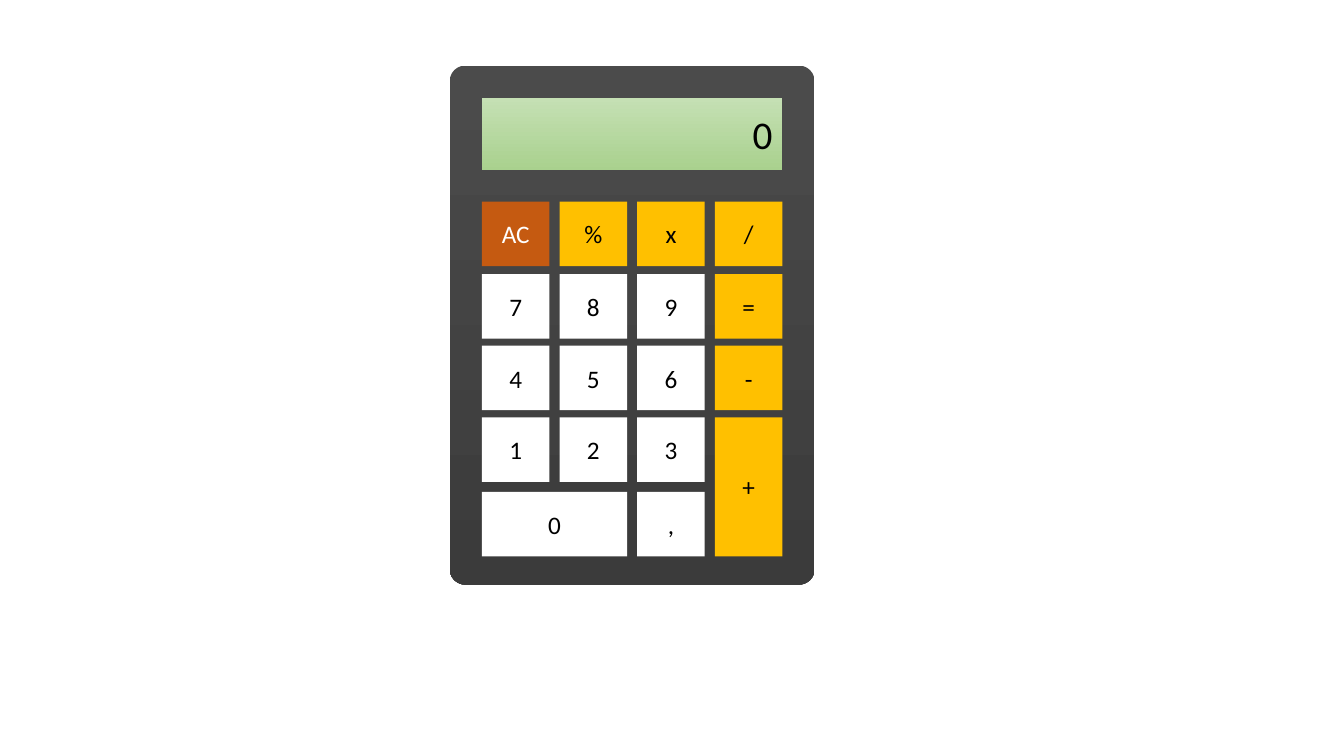
from pptx import Presentation
from pptx.dml.color import RGBColor
from pptx.enum.shapes import MSO_SHAPE
from pptx.enum.text import MSO_ANCHOR, PP_ALIGN
from pptx.util import Inches, Pt

RECTANGLE, ROUNDED = MSO_SHAPE.RECTANGLE, MSO_SHAPE.ROUNDED_RECTANGLE
CENTER, RIGHT, MIDDLE = PP_ALIGN.CENTER, PP_ALIGN.RIGHT, MSO_ANCHOR.MIDDLE

COLORS = {
    "body_top": "4B4B4B", "body_bottom": "3B3B3B",
    "screen_top": "C5E0B4", "screen_bottom": "A9D18E",
    "digit": "FFFFFF", "operator": "FFC000", "clear": "C55A11",
    "dark_text": "000000", "light_text": "FFFFFF",
}
FONT = "Calibri"

DISPLAY = "0"
# Each None is covered by the wide or tall key beside or above it.
KEYPAD = [
    ["AC", "%", "x", "/"],
    ["7", "8", "9", "="],
    ["4", "5", "6", "-"],
    ["1", "2", "3", "+"],
    ["0", None, ",", None],
]
SPANS = {"0": (2, 1), "+": (1, 2)}  # columns, rows
OPERATORS = "%x/=-+"

KEY_WIDTH, KEY_HEIGHT = 0.67, 0.64
COLUMN_LEFTS = [4.78 + 0.77 * column for column in range(4)]
ROW_TOPS = [2, 2.72, 3.43, 4.14, 4.88]

prs = Presentation()
prs.slide_width, prs.slide_height = Inches(13.33), Inches(7.5)
slide = prs.slides.add_slide(prs.slide_layouts[6])


def rgb(name):
    return RGBColor.from_string(COLORS[name])


def add_part(kind, left, top, width, height, *fills):
    """Add a borderless shape; two fill names make a top-to-bottom gradient."""
    part = slide.shapes.add_shape(
        kind, Inches(left), Inches(top), Inches(width), Inches(height))
    part.shadow.inherit = False
    part.line.fill.background()
    if len(fills) == 1:
        part.fill.solid()
        part.fill.fore_color.rgb = rgb(fills[0])
    else:
        part.fill.gradient()
        part.fill.gradient_angle = 270
        for stop, name in zip(part.fill.gradient_stops, fills):
            stop.color.rgb = rgb(name)
    return part


def add_label(part, text, size, align, color="dark_text"):
    part.text_frame.vertical_anchor = MIDDLE
    paragraph = part.text_frame.paragraphs[0]
    paragraph.alignment = align
    run = paragraph.add_run()
    run.text = text
    run.font.name, run.font.size = FONT, Pt(size)
    run.font.color.rgb = rgb(color)


body = add_part(ROUNDED, 4.46, 0.65, 3.62, 5.15, "body_top", "body_bottom")
body.adjustments[0] = 0.043

screen = add_part(RECTANGLE, 4.78, 0.97, 2.98, 0.72, "screen_top", "screen_bottom")
add_label(screen, DISPLAY, 28, RIGHT)

for row, labels in enumerate(KEYPAD):
    for column, label in enumerate(labels):
        if label is None:
            continue
        columns, rows = SPANS.get(label, (1, 1))
        left, top = COLUMN_LEFTS[column], ROW_TOPS[row]
        width = COLUMN_LEFTS[column + columns - 1] + KEY_WIDTH - left
        height = ROW_TOPS[row + rows - 1] + KEY_HEIGHT - top
        if label == "AC":
            fill, text_color = "clear", "light_text"
        else:
            fill = "operator" if label in OPERATORS else "digit"
            text_color = "dark_text"
        key = add_part(RECTANGLE, left, top, width, height, fill)
        add_label(key, label, 18, CENTER, text_color)

prs.save("out.pptx")
